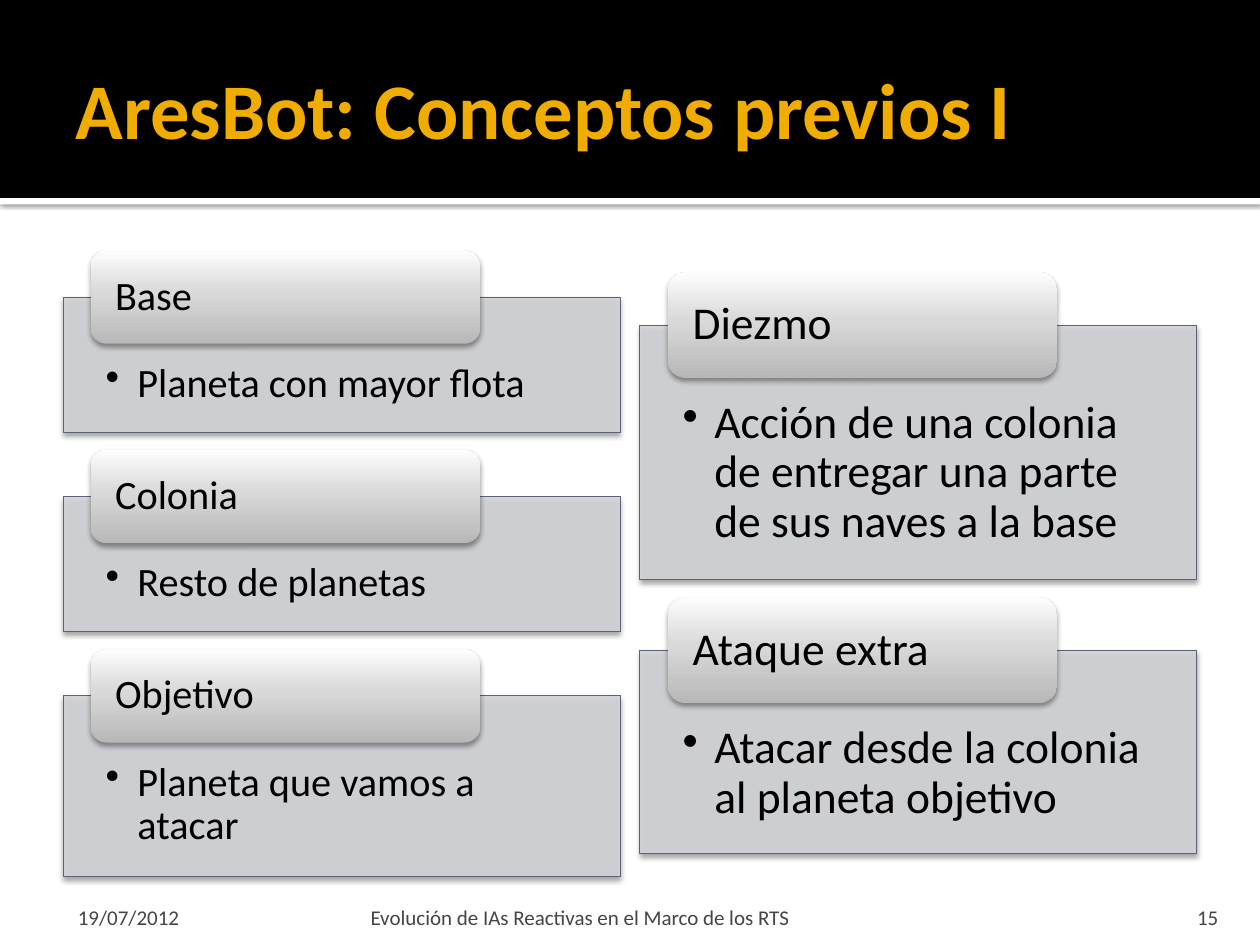
from copy import deepcopy

from lxml import etree
from pptx import Presentation
from pptx.dml.color import RGBColor
from pptx.enum import shapes, text
from pptx.oxml import ns
from pptx.util import Cm, Pt

rgb = RGBColor.from_string


def add_panel(kind, left, top, width, height, shadow=None):
    """Add a borderless shape; shadow is (opacity %, blur pt, distance pt)."""
    shape = slide.shapes.add_shape(kind, Cm(left), Cm(top), Cm(width), Cm(height))
    shape.shadow.inherit = False
    shape.line.fill.background()
    if shadow:
        opacity, blur, distance = shadow
        effects = shape._element.spPr.find(ns.qn("a:effectLst"))
        outer = etree.SubElement(effects, ns.qn("a:outerShdw"), blurRad=str(Pt(blur)),
                                 dist=str(Pt(distance)), dir="5400000", rotWithShape="0")
        color = etree.SubElement(outer, ns.qn("a:srgbClr"), val="000000")
        etree.SubElement(color, ns.qn("a:alpha"), val=str(opacity * 1000))
    return shape


def write(shape, words, size, color, anchor, insets, align=text.PP_ALIGN.LEFT):
    """Fill a shape with one paragraph; insets are left, top, right, bottom in cm."""
    frame = shape.text_frame
    frame.word_wrap = True
    frame.auto_size = text.MSO_AUTO_SIZE.NONE
    frame.vertical_anchor = anchor
    frame.margin_left, frame.margin_top, frame.margin_right, frame.margin_bottom = map(Cm, insets)
    frame.text = words
    paragraph = frame.paragraphs[0]
    paragraph.alignment = align
    font = paragraph.runs[0].font
    font.name, font.size, font.color.rgb = "Calibri", Pt(size), rgb(color)
    return paragraph


presentation = Presentation()
presentation.slide_width, presentation.slide_height = Cm(25.4), Cm(19.05)
slide = presentation.slides.add_slide(presentation.slide_layouts[5])

# Header
RECTANGLE = shapes.MSO_SHAPE.RECTANGLE
stripe = add_panel(RECTANGLE, 0, 3.99, 25.4, 0.13, (60, 2.5, 0.8))
stripe.fill.solid()
stripe.fill.fore_color.rgb = rgb("FFFFFF")
band = add_panel(RECTANGLE, 0, 0, 25.4, 3.99)
band.fill.solid()
band.fill.fore_color.rgb = rgb("000000")

title = slide.shapes.title
slide.shapes._spTree.append(title._element)  # bring in front of the band
title.left, title.top, title.width, title.height = Cm(1.27), Cm(0.43), Cm(22.86), Cm(3.48)
heading = write(title, "AresBot: Conceptos previos I", 45, "F0AD00",
                text.MSO_ANCHOR.MIDDLE, (0.25, 0.13, 0.13, 0.13))
heading.runs[0].font.bold = True

# Footer
footers = [
    ("19/07/2012", 1.27, 5.92, 0.3, 0.13, text.PP_ALIGN.LEFT),
    ("Evolución de IAs Reactivas en el Marco de los RTS", 7.34, 15.29, 0.13, 0.13,
     text.PP_ALIGN.LEFT),
    ("15", 22.78, 2.03, 0.25, 0.25, text.PP_ALIGN.RIGHT),
]
for words, left, width, inset_left, inset_right, align in footers:
    box = slide.shapes.add_textbox(Cm(left), Cm(17.98), Cm(width), Cm(0.76))
    write(box, words, 12, "454545", text.MSO_ANCHOR.BOTTOM,
          (inset_left, 0.13, inset_right, 0), align)

# Columns of cards: left, first label top, label height, text size, body top inset, cards
columns = [
    (1.27, 5.05, 1.88, 23, 1.32, [
        ("Base", "Planeta con mayor flota", 2.72),
        ("Colonia", "Resto de planetas", 2.72),
        ("Objetivo", "Planeta que vamos a atacar", 3.63)]),
    (12.9, 5.49, 2.13, 26, 1.5, [
        ("Diezmo", "Acción de una colonia de entregar una parte de sus naves a la base", 5.13),
        ("Ataque extra", "Atacar desde la colonia al planeta objetivo", 4.09)]),
]
CARD_SHADOW = (38, 3.1, 2)
CARD_GAP = 0.36
LABEL_STOPS = [(0, "B8B8B8"), (0.55, "D9D9D9"), (1, "FDFDFD")]

for left, top, label_height, size, body_inset, cards in columns:
    for term, meaning, body_height in cards:
        body_top = top + label_height / 2
        body = add_panel(RECTANGLE, left, body_top, 11.23, body_height, CARD_SHADOW)
        body.fill.solid()
        body.fill.fore_color.rgb = rgb("D2D3D6")
        fill_color = body._element.spPr.find(ns.qn("a:solidFill"))[0]
        etree.SubElement(fill_color, ns.qn("a:alpha"), val="90000")
        body.line.color.rgb = rgb("5A6378")
        body.line.width = Pt(0.5)
        paragraph = write(body, meaning, size, "000000", text.MSO_ANCHOR.TOP,
                          (0.86, body_inset, 0.86, 0.46))
        properties = paragraph._p.get_or_add_pPr()
        properties.set("marL", str(Cm(0.64)))
        properties.set("indent", str(Cm(-0.64)))
        etree.SubElement(properties, ns.qn("a:buChar"), char="•")
        paragraph.line_spacing = 0.9

        label = add_panel(shapes.MSO_SHAPE.ROUNDED_RECTANGLE, left + 0.56, top, 7.85,
                          label_height, CARD_SHADOW)
        label.fill.gradient()
        label.fill.gradient_angle = 90
        stops = label._element.spPr.find(".//" + ns.qn("a:gsLst"))
        stops.insert(1, deepcopy(stops[0]))
        for stop, (position, color) in zip(label.fill.gradient_stops, LABEL_STOPS):
            stop.position = position
            stop.color.rgb = rgb(color)
        paragraph = write(label, term, size, "000000", text.MSO_ANCHOR.MIDDLE,
                          (0.4, 0, 0.4, 0))
        paragraph.line_spacing = 0.9
        top = body_top + body_height + CARD_GAP

presentation.save("out.pptx")
